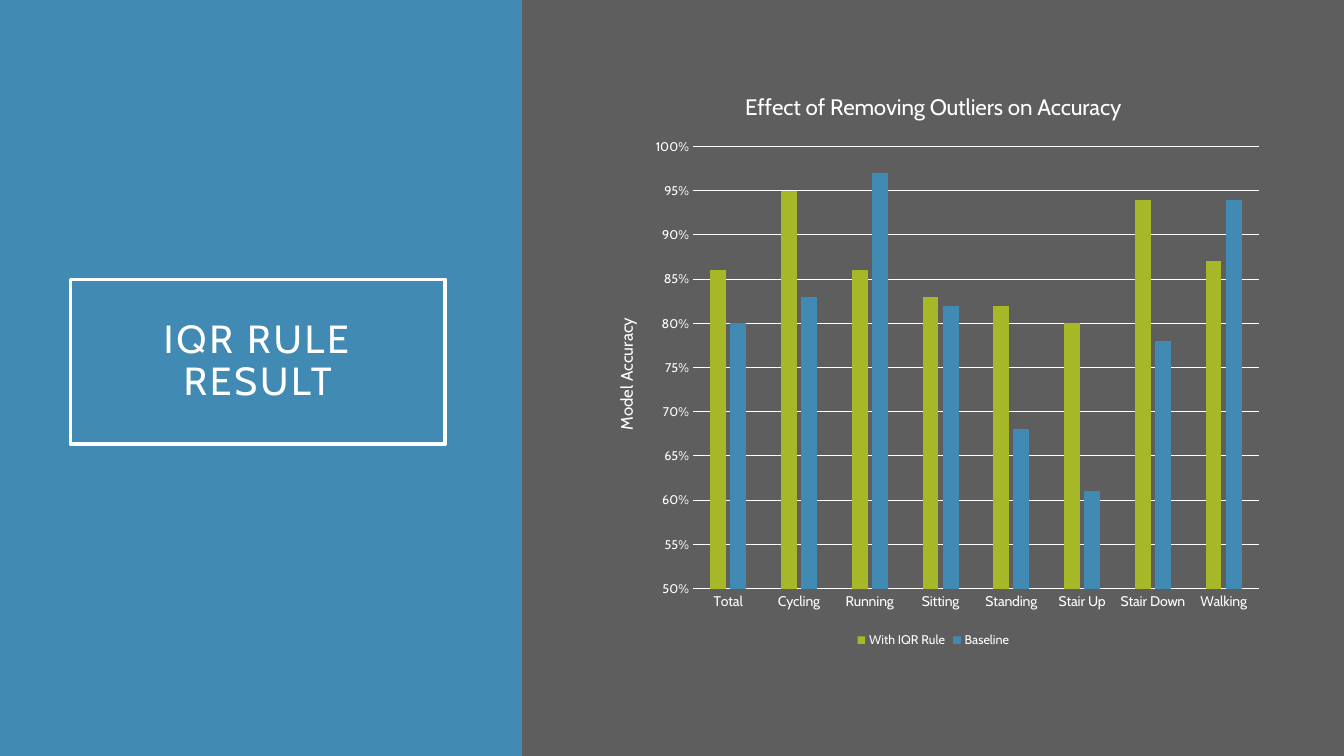
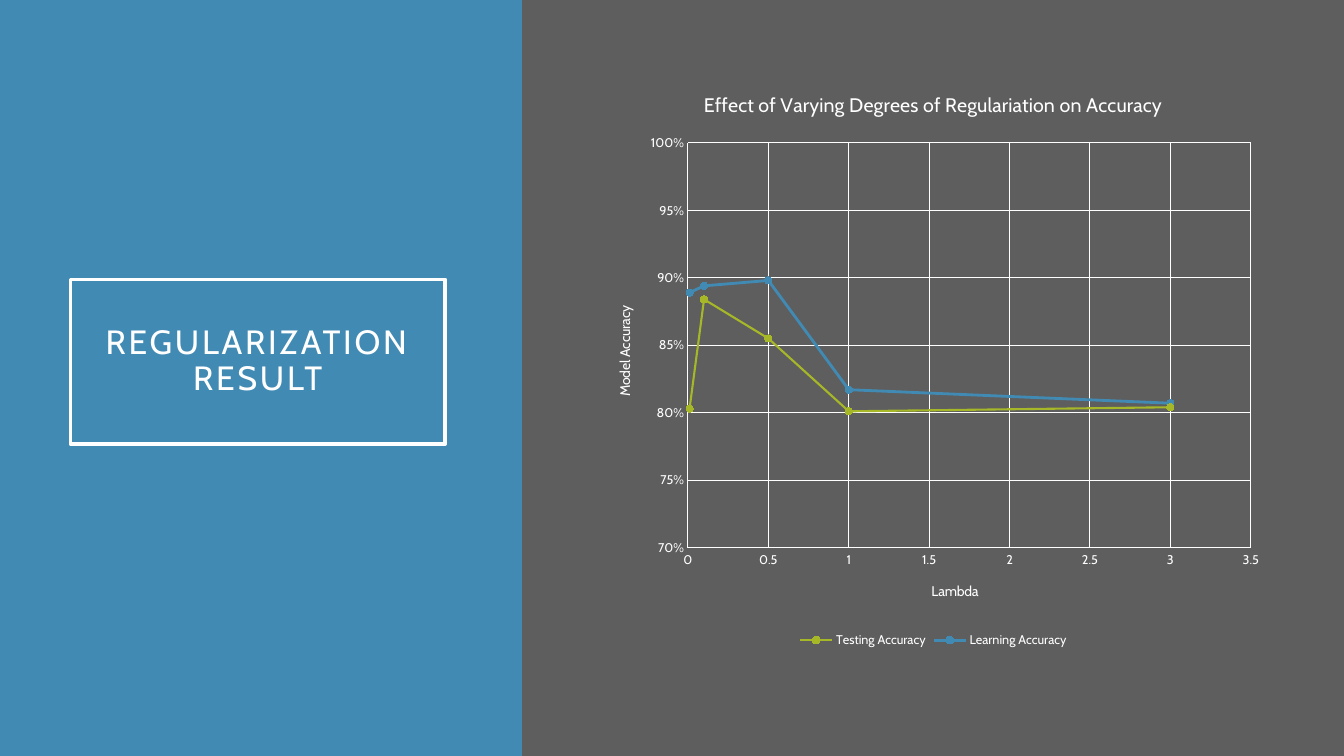
"""Build two result slides, each with a title band and a chart."""
from dataclasses import dataclass

from lxml.etree import SubElement
from pptx import Presentation
from pptx.chart.data import CategoryChartData, XyChartData
from pptx.dml.color import RGBColor
from pptx.enum.chart import XL_CHART_TYPE, XL_LEGEND_POSITION, XL_MARKER_STYLE, XL_TICK_MARK
from pptx.enum.shapes import MSO_SHAPE
from pptx.enum.text import MSO_ANCHOR, PP_ALIGN
from pptx.oxml import parse_xml
from pptx.oxml.ns import nsdecls, qn
from pptx.util import Pt


@dataclass(frozen=True)
class Theme:
    face: str = "Cabin"
    gray: RGBColor = RGBColor(0x5E, 0x5E, 0x5E)
    blue: RGBColor = RGBColor(0x41, 0x8A, 0xB3)
    lime: RGBColor = RGBColor(0xA6, 0xB7, 0x27)
    white: RGBColor = RGBColor(0xFF, 0xFF, 0xFF)
    small: int = 9
    base: int = 10
    frame: float = 2.5
    grid: float = 0.75


theme = Theme()
PX = 9525
WIDE, HIGH = 1280, 720
BAND, SPLIT = 497, 499
BOX = [n * PX for n in (67, 266, 357, 157)]
PLOT = [n * PX for n in (566, 67, 646, 554)]
PAD = 19 * PX
CLEAR = f"<c:spPr {nsdecls('c', 'a')}><a:noFill/><a:ln><a:noFill/></a:ln></c:spPr>"


def style(font, size):
    font.name = theme.face
    font.size = Pt(size)
    font.bold = False
    font.color.rgb = theme.white


def label(owner, text, size):
    frame = owner.text_frame
    run = frame.paragraphs[0].add_run()
    run.text = text
    style(run.font, size)
    return frame


bars = CategoryChartData(number_format="0%")
bars.categories = ["Total", "Cycling", "Running", "Sitting",
                   "Standing", "Stair Up", "Stair Down", "Walking"]
bars.add_series("With IQR Rule", [0.86, 0.95, 0.86, 0.83, 0.82, 0.8, 0.94, 0.87])
bars.add_series("Baseline", [0.8, 0.83, 0.97, 0.82, 0.68, 0.61, 0.78, 0.94])

curves = XyChartData(number_format="0%")
lambdas = [0.01, 0.1, 0.5, 1, 3]
for name, rates in [
    ("Testing Accuracy", [0.803, 0.884, 0.855, 0.801, 0.804]),
    ("Learning Accuracy", [0.889, 0.894, 0.898, 0.817, 0.807]),
]:
    curve = curves.add_series(name)
    for x, y in zip(lambdas, rates):
        curve.add_data_point(x, y)

pages = [
    dict(title=["IQR RULE RESULT"], size=28, kind=XL_CHART_TYPE.COLUMN_CLUSTERED,
         data=bars, head="Effect of Removing Outliers on Accuracy",
         head_size=16, side_size=12, tick_size=10, low=0.5),
    dict(title=["REGULARIZATION", "RESULT"], size=24, kind=XL_CHART_TYPE.XY_SCATTER_LINES,
         data=curves, head="Effect of Varying Degrees of Regulariation on Accuracy",
         head_size=14, side_size=10, tick_size=9, low=0.7),
]

deck = Presentation()
deck.slide_width, deck.slide_height = WIDE * PX, HIGH * PX

for page in pages:
    slide = deck.slides.add_slide(deck.slide_layouts[6])
    slide.background.fill.solid()
    slide.background.fill.fore_color.rgb = theme.gray

    for left, width, color in [(0, BAND, theme.blue), (SPLIT, WIDE - SPLIT, theme.gray)]:
        band = slide.shapes.add_shape(MSO_SHAPE.RECTANGLE, left * PX, 0, width * PX, HIGH * PX)
        band.shadow.inherit = False
        band.fill.solid()
        band.fill.fore_color.rgb = color
        band.line.fill.background()

    box = slide.shapes.add_shape(MSO_SHAPE.RECTANGLE, *BOX)
    box.shadow.inherit = False
    box.fill.background()
    box.line.color.rgb = theme.white
    box.line.width = Pt(theme.frame)
    frame = box.text_frame
    frame.word_wrap = True
    frame.vertical_anchor = MSO_ANCHOR.MIDDLE
    frame.margin_left = frame.margin_right = PAD
    frame.margin_top = frame.margin_bottom = PAD
    para = frame.paragraphs[0]
    para.alignment = PP_ALIGN.CENTER
    para.line_spacing = 0.9
    for row, words in enumerate(page["title"]):
        if row:
            para.add_line_break()
        run = para.add_run()
        run.text = words
        style(run.font, page["size"])
        run.font._element.set("spc", "200")

    chart = slide.shapes.add_chart(page["kind"], *PLOT, page["data"]).chart
    style(chart.font, theme.base)
    space = chart._chartSpace
    space.find(qn("c:txPr")).addprevious(parse_xml(CLEAR))
    space.chart.plotArea.append(parse_xml(CLEAR))
    chart.has_title = True
    label(chart.chart_title, page["head"], page["head_size"])
    chart.chart_title.include_in_layout = False
    chart.has_legend = True
    chart.legend.position = XL_LEGEND_POSITION.BOTTOM
    chart.legend.include_in_layout = False
    style(chart.legend.font, theme.small)

    base, side = chart.category_axis, chart.value_axis
    for axis, size in [(base, page["tick_size"]), (side, theme.small)]:
        axis.major_tick_mark = axis.minor_tick_mark = XL_TICK_MARK.NONE
        style(axis.tick_labels.font, size)
        axis.format.line.color.rgb = theme.white
        axis.format.line.width = Pt(theme.grid)
    side.minimum_scale, side.maximum_scale = page["low"], 1
    side.major_unit = 0.05
    side.tick_labels.number_format = "0%"
    side.tick_labels.number_format_is_linked = False
    turn = label(side.axis_title, "Model Accuracy", page["side_size"])._txBody.bodyPr
    turn.set("rot", "-5400000")
    turn.set("vert", "horz")

    plot = chart.plots[0]
    plot.vary_by_categories = False
    ruled = [side]
    if page["data"] is bars:
        plot.gap_width, plot.overlap = 219, -27
        side.format.line.fill.background()
    else:
        ruled.append(base)
        base.minimum_scale, base.maximum_scale = 0, 3.5
        base.major_unit = 0.5
        base.tick_labels.number_format = "General"
        base.tick_labels.number_format_is_linked = False
        label(base.axis_title, "Lambda", theme.base)
    for axis in ruled:
        axis.has_major_gridlines = True
        grid = axis.major_gridlines.format.line
        grid.color.rgb = theme.white
        grid.width = Pt(theme.grid)

    for line, color, weight in zip(plot.series, (theme.lime, theme.blue), (1.5, 2)):
        if page["data"] is bars:
            line.format.fill.solid()
            line.format.fill.fore_color.rgb = color
            continue
        line.smooth = False
        line.format.line.color.rgb = color
        line.format.line.width = Pt(weight)
        mark = line.marker
        mark.style, mark.size = XL_MARKER_STYLE.CIRCLE, 5
        mark.format.fill.solid()
        mark.format.fill.fore_color.rgb = color
        mark.format.line.color.rgb = color

deck.save("out.pptx")
